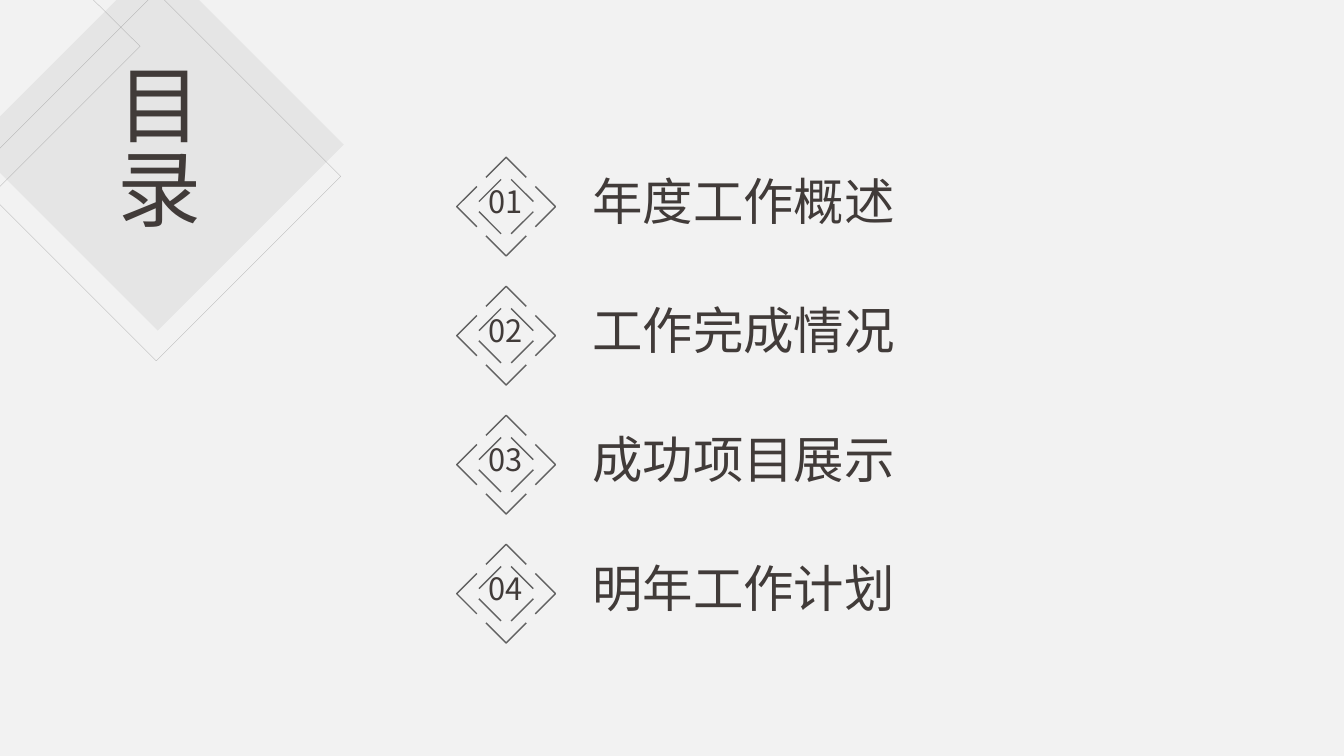
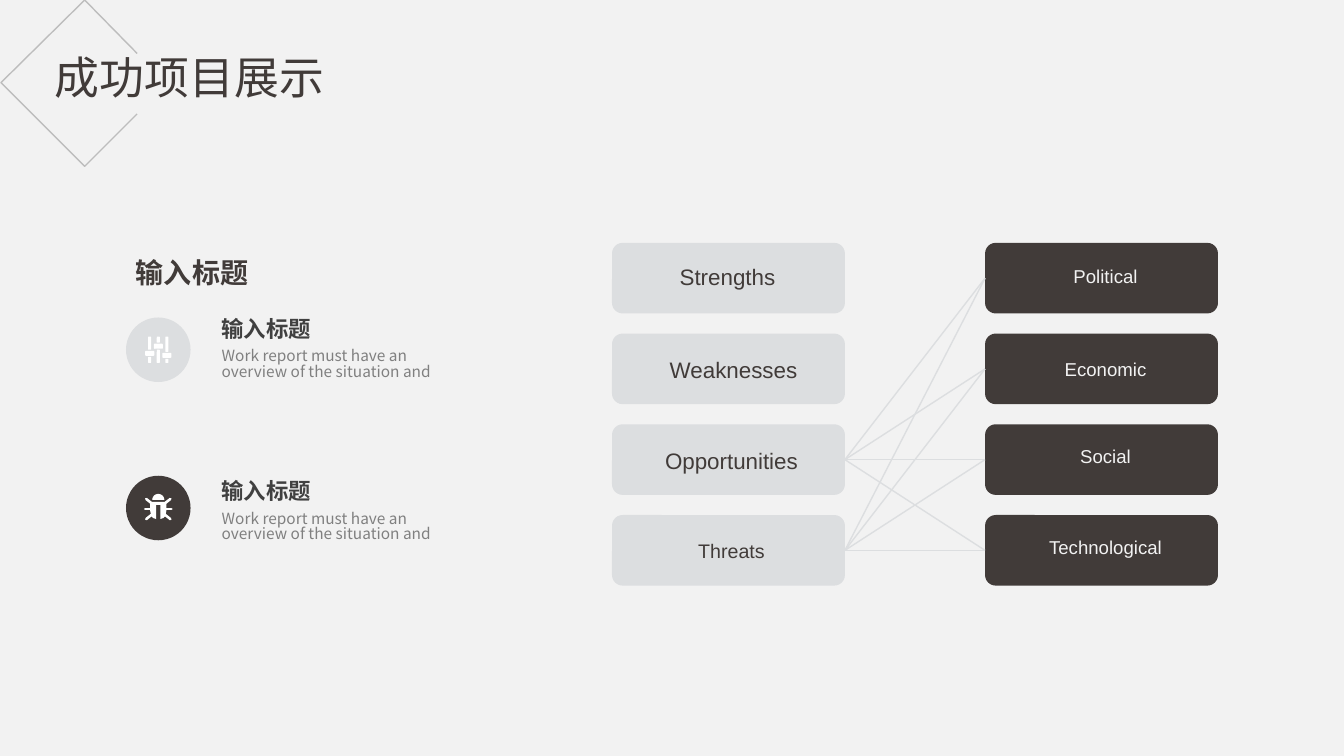
"""Build a contents slide and a project slide with python-pptx."""
from itertools import product
from math import cos, pi, sin

from lxml import etree
from pptx import Presentation
from pptx.dml.color import RGBColor
from pptx.enum.shapes import MSO_CONNECTOR, MSO_SHAPE
from pptx.enum.text import PP_ALIGN
from pptx.oxml.ns import qn
from pptx.util import Inches, Pt

STRAIGHT = MSO_CONNECTOR.STRAIGHT
DIAMOND, OVAL, ROUNDED = MSO_SHAPE.DIAMOND, MSO_SHAPE.OVAL, MSO_SHAPE.ROUNDED_RECTANGLE
LEFT, CENTER = PP_ALIGN.LEFT, PP_ALIGN.CENTER

PAPER = RGBColor(0xF2, 0xF2, 0xF2)
INK = RGBColor(0x41, 0x3B, 0x39)
HEADING = RGBColor(0x40, 0x40, 0x40)
GRAY = RGBColor(0x80, 0x80, 0x80)
VEIL = RGBColor(0xA6, 0xA6, 0xA6)
MARK = RGBColor(0x61, 0x61, 0x61)
PALE = RGBColor(0xDC, 0xDE, 0xE0)
WHITE = RGBColor(0xFF, 0xFF, 0xFF)

CJK, LATIN = "Noto Sans CJK SC", "Arial"
CJK_SPACING, CJK_DROP = 0.83, 0.06

CHAPTERS = ["年度工作概述", "工作完成情况", "成功项目展示", "明年工作计划"]
CHAPTER_PITCH = 1.28
MARK_X, MARK_Y = 5.02, 2.05
CHEVRON = [(-0.2, -0.29), (0, -0.49), (0.2, -0.29)]
DASH = [(-0.27, -0.05), (-0.05, -0.27)]

BOX_TOP, BOX_PITCH, BOX_WIDTH, BOX_HEIGHT = 2.41, 0.9, 2.31, 0.7
SWOT = [("Strengths", 16, 6.42, 2.59), ("Weaknesses", 16, 6.48, 3.51),
        ("Opportunities", 16, 6.46, 4.42), ("Threats", 14, 6.46, 5.32)]
PEST = [("Political", 13.3, 10.17, 2.64), ("Economic", 13.3, 10.17, 3.56),
        ("Social", 13.3, 10.17, 4.42), ("Technological", 13.3, 10.17, 5.33)]
COLUMNS = [(6.07, PALE, INK, 0.9, SWOT), (9.77, INK, PAPER, 0.7, PEST)]

POINT_TITLE = "输入标题"
POINT_BODY = "Work report must have an overview of the situation and"
POINTS = [(3.15, 3.11, PALE), (4.72, 4.72, INK)]
SLIDER_KNOBS = [3.5, 3.43, 3.52]
BUG_X, BUG_Y = 1.57, 5.04
BUG_SIDE = [(0.02, -0.03), (0.02, 0.11), (0.05, 0.1), (0.07, 0.08), (0.08, 0.03), (0.08, -0.06)]
BUG_LEGS = [((0.07, -0.05), (0.12, -0.09)), ((0.07, 0.01), (0.13, 0.01)), ((0.07, 0.07), (0.12, 0.11))]


def set_opacity(color_format, percent):
    color = color_format._xFill.find(qn("a:srgbClr"))
    etree.SubElement(color, qn("a:alpha")).set("val", str(percent * 1000))


def paint(shape, fill=None, line=None, width=1, opacity=None):
    shape.shadow.inherit = False
    for part, color in ((shape.fill, fill), (shape.line.fill, line)):
        if color is None:
            part.background()
            continue
        part.solid()
        part.fore_color.rgb = color
        if opacity:
            set_opacity(part.fore_color, opacity)
    if line is not None:
        shape.line.width = Pt(width)
    return shape


def add_preset(shapes, kind, box, **style):
    return paint(shapes.add_shape(kind, *map(Inches, box)), **style)


def add_outline(shapes, points, closed=False, **style):
    start, *rest = [(Inches(x), Inches(y)) for x, y in points]
    builder = shapes.build_freeform(*start)
    builder.add_line_segments(rest, close=closed)
    return paint(builder.convert_to_shape(), **style)


def add_line(shapes, start, end, color, width=1):
    line = shapes.add_connector(STRAIGHT, *map(Inches, (*start, *end)))
    line.line.color.rgb = color
    line.line.width = Pt(width)
    etree.SubElement(line._element.spPr, qn("a:effectLst"))
    return line


def add_text(shapes, text, box, size, color=INK, font=CJK, align=CENTER, bold=False, spacing=CJK_SPACING):
    left, top, width, height = box
    if font == CJK:
        top += CJK_DROP * size / 72
    frame = shapes.add_textbox(*map(Inches, (left, top, width, height))).text_frame
    frame.word_wrap = True
    para = frame.paragraphs[0]
    para.alignment, para.line_spacing = align, spacing
    span = para.add_run()
    span.text = text
    for name, value in {"name": font, "size": Pt(size), "bold": bold}.items():
        setattr(span.font, name, value)
    span.font.color.rgb = color
    etree.SubElement(span.font._element, qn("a:ea")).set("typeface", font)


def turn(points, quarters):
    for _ in range(quarters):
        points = [(-y, x) for x, y in points]
    return points


def shift(points, left, top):
    return [(left + x, top + y) for x, y in points]


def add_chapter_mark(page, number, middle):
    shapes = page.shapes.add_group_shape().shapes
    for quarters in range(4):
        add_outline(shapes, shift(turn(CHEVRON, quarters), MARK_X, middle), line=MARK)
        add_line(shapes, *shift(turn(DASH, quarters), MARK_X, middle), MARK)
    add_text(shapes, f"{number:02}", (4.64, middle - 0.24, 0.75, 0.47), 22)


def build_contents(page):
    shapes = page.shapes
    add_preset(shapes, DIAMOND, (-0.28, -0.41, 3.69, 3.69), fill=VEIL, opacity=16)
    corner = [(-0.02, -0.94), (1.39, 0.46), (-0.02, 1.87)]
    add_outline(shapes, corner, closed=True, line=GRAY, width=0.25, opacity=48)
    add_preset(shapes, DIAMOND, (-0.28, -0.08, 3.66, 3.66), line=GRAY, width=0.25, opacity=48)
    add_text(shapes, "目录", (0.98, 0.59, 1.21, 2.12), 60)
    for row, chapter in enumerate(CHAPTERS):
        middle = MARK_Y + row * CHAPTER_PITCH
        add_chapter_mark(page, row + 1, middle)
        add_text(shapes, chapter, (5.49, middle - 0.34, 3.77, 0.71), 36)


def add_sliders(shapes):
    for column, knob in enumerate(SLIDER_KNOBS):
        left = 1.44 + column * 0.085
        parts = [(left + 0.03, 3.34, 0.03, knob - 3.37), (left, knob - 0.02, 0.09, 0.05),
                 (left + 0.03, knob + 0.04, 0.03, 3.56 - knob)]
        for part in parts:
            add_preset(shapes, ROUNDED, part, fill=WHITE)


def add_bug(shapes):
    mirrored = [(-x, y) for x, y in reversed(BUG_SIDE)]
    head = [(0.06 * cos(pi * step / 12), -0.08 - 0.06 * sin(pi * step / 12)) for step in range(13)]
    for outline in (BUG_SIDE + mirrored, head):
        add_outline(shapes, shift(outline, BUG_X, BUG_Y), closed=True, fill=WHITE)
    for leg, side in product(BUG_LEGS, (-1, 1)):
        ends = shift([(side * x, y) for x, y in leg], BUG_X, BUG_Y)
        add_line(shapes, *ends, WHITE, 1.8).get_or_add_ln().set("cap", "rnd")


def add_matrix(shapes):
    boxes = []
    for left, fill, color, spacing, labels in COLUMNS:
        column = []
        for row, (text, size, label_left, label_top) in enumerate(labels):
            area = (left, BOX_TOP + row * BOX_PITCH, BOX_WIDTH, BOX_HEIGHT)
            box = add_preset(shapes, ROUNDED, area, fill=fill)
            box.adjustments[0] = 0.15
            column.append(box)
            add_text(shapes, text, (label_left, label_top, 1.59, 0.25), size, color, LATIN, spacing=spacing)
        boxes.append(column)
    swot, pest = boxes
    for source, target in product(swot[2:], pest):
        line = add_line(shapes, (0, 0), (1, 1), PALE)
        line.begin_connect(source, 3)
        line.end_connect(target, 1)


def build_project(page):
    shapes = page.shapes
    frame = [(1.36, 0.53), (0.84, 0), (0.01, 0.82), (0.84, 1.65), (1.36, 1.13)]
    add_outline(shapes, frame, line=GRAY, opacity=45)
    add_text(shapes, CHAPTERS[2], (0.37, 0.51, 3.02, 0.64), 32)
    add_matrix(shapes)
    add_text(shapes, POINT_TITLE, (1.25, 2.52, 3.09, 0.32), 20, font=LATIN, align=LEFT, bold=True, spacing=0.9)
    for (disc_top, text_top, fill), add_icon in zip(POINTS, (add_sliders, add_bug)):
        icon = shapes.add_group_shape().shapes
        add_preset(icon, OVAL, (1.25, disc_top, 0.64, 0.64), fill=fill)
        add_icon(icon)
        add_text(shapes, POINT_TITLE, (2.1, text_top, 2.4, 0.37), 16, HEADING, align=LEFT, bold=True)
        add_text(shapes, POINT_BODY, (2.1, text_top + 0.3, 2.35, 0.47), 11, GRAY, align=LEFT)


def main():
    deck = Presentation()
    deck.slide_width, deck.slide_height = Inches(13.33), Inches(7.5)
    backdrop = deck.slide_master.background.fill
    backdrop.solid()
    backdrop.fore_color.rgb = PAPER
    for build in (build_contents, build_project):
        build(deck.slides.add_slide(deck.slide_layouts[6]))
    deck.save("out.pptx")


if __name__ == "__main__":
    main()
